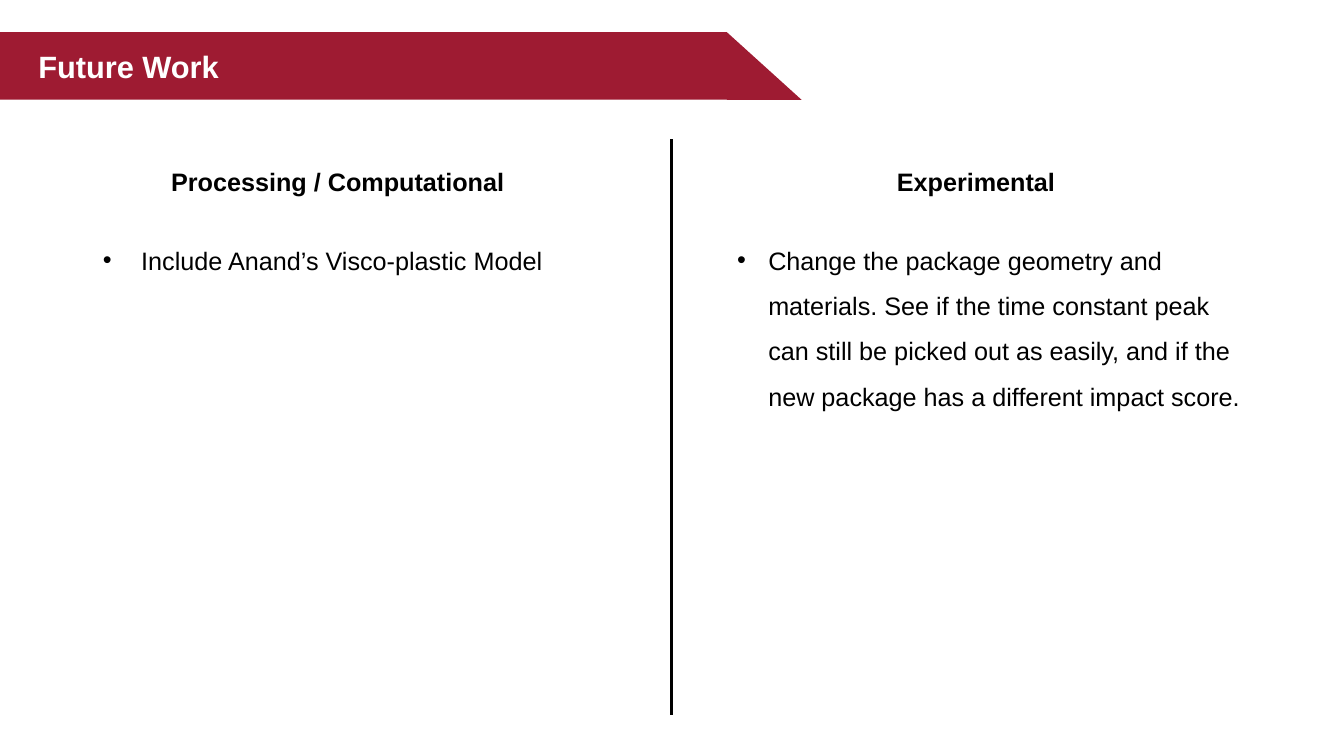
from lxml import etree
from pptx import Presentation
from pptx.dml.color import RGBColor
from pptx.enum.shapes import MSO_CONNECTOR, MSO_SHAPE
from pptx.enum.text import MSO_ANCHOR, MSO_AUTO_SIZE, PP_ALIGN
from pptx.oxml.ns import qn
from pptx.util import Inches, Pt

RECTANGLE = MSO_SHAPE.RECTANGLE
RIGHT_TRIANGLE = MSO_SHAPE.RIGHT_TRIANGLE
STRAIGHT = MSO_CONNECTOR.STRAIGHT
TOP = MSO_ANCHOR.TOP
NO_AUTOFIT = MSO_AUTO_SIZE.NONE
LEFT = PP_ALIGN.LEFT
CENTER = PP_ALIGN.CENTER

COMPARISON_LAYOUT = 4
FONT = "Arial"
CRIMSON = "9E1B32"
WHITE = "FFFFFF"
BLACK = "000000"
BANNER_TOP, BANNER_HEIGHT = 0.32, 0.67
BANNER_WIDTH, TIP_WIDTH = 7.21, 0.74
HEADING_TOP, HEADING_WIDTH, HEADING_HEIGHT = 1.6, 4.46, 0.4
LIST_TOP = 2.23

COLUMNS = [
    {
        "heading": "Processing / Computational",
        "heading_left": 1.12,
        "item": "Include Anand’s Visco-plastic Model",
        "list_box": (0.92, LIST_TOP, 5.36, 0.5),
        "indent": 0.38,
    },
    {
        "heading": "Experimental",
        "heading_left": 7.45,
        "item": "Change the package geometry and materials. See if the time "
                "constant peak can still be picked out as easily, and if the "
                "new package has a different impact score.",
        "list_box": (7.21, LIST_TOP, 5.2, 1.86),
        "indent": 0.31,
    },
]


def color(hex_value):
    """Turn a hex string into a colour."""
    return RGBColor.from_string(hex_value)


def add_banner_part(slide, kind, left, width):
    """Add a crimson banner shape behind the title."""
    shape = slide.shapes.add_shape(
        kind, Inches(left), Inches(BANNER_TOP), Inches(width), Inches(BANNER_HEIGHT))
    shape.shadow.inherit = False
    shape.fill.solid()
    shape.fill.fore_color.rgb = color(CRIMSON)
    shape.line.fill.background()
    slide.shapes.title.element.addprevious(shape.element)


def add_divider(slide, x, top, bottom):
    """Draw the vertical line between the columns."""
    line = slide.shapes.add_connector(
        STRAIGHT, Inches(x), Inches(top), Inches(x), Inches(bottom))
    line.line.color.rgb = color(BLACK)
    line.line.width = Pt(1.5)
    etree.SubElement(line.element.spPr, qn("a:effectLst"))


def fill_placeholder(placeholder, box, text, size, hex_value, bold, alignment):
    """Place a placeholder, set its text and return its paragraph."""
    left, top, width, height = map(Inches, box)
    placeholder.left, placeholder.top = left, top
    placeholder.width, placeholder.height = width, height
    frame = placeholder.text_frame
    frame.text = text
    frame.word_wrap = True
    frame.auto_size = NO_AUTOFIT
    frame.vertical_anchor = TOP
    paragraph = frame.paragraphs[0]
    paragraph.alignment = alignment
    paragraph.space_before = Pt(0)
    font = paragraph.runs[0].font
    font.name = FONT
    font.size = Pt(size)
    font.bold = bold
    font.color.rgb = color(hex_value)
    return paragraph


def add_bullet(paragraph, indent):
    """Give a paragraph a bullet with a hanging indent."""
    properties = paragraph._p.get_or_add_pPr()
    properties.set("marL", str(Inches(indent)))
    properties.set("indent", str(-Inches(indent)))
    etree.SubElement(properties, qn("a:buFont"), typeface=FONT)
    etree.SubElement(properties, qn("a:buChar"), char="•")


def fill_column(heading, body, column):
    """Fill the heading and the list of one column."""
    heading_box = (column["heading_left"], HEADING_TOP, HEADING_WIDTH, HEADING_HEIGHT)
    fill_placeholder(heading, heading_box, column["heading"], 18, BLACK, True, CENTER)
    paragraph = fill_placeholder(
        body, column["list_box"], column["item"], 18, BLACK, False, LEFT)
    add_bullet(paragraph, column["indent"])
    paragraph.line_spacing = 1.5


def main():
    """Build and save the slide."""
    presentation = Presentation()
    presentation.slide_width = Inches(13.33)
    presentation.slide_height = Inches(7.5)
    slide = presentation.slides.add_slide(presentation.slide_layouts[COMPARISON_LAYOUT])
    add_banner_part(slide, RECTANGLE, 0, BANNER_WIDTH)
    add_banner_part(slide, RIGHT_TRIANGLE, BANNER_WIDTH, TIP_WIDTH)
    fill_placeholder(slide.shapes.title, (0.28, 0.42, 7.66, 0.47),
                     "Future Work", 22, WHITE, True, LEFT)
    add_divider(slide, 6.66, 1.38, 7.09)
    placeholders = slide.placeholders
    for index, column in enumerate(COLUMNS):
        fill_column(placeholders[2 * index + 1], placeholders[2 * index + 2], column)
    presentation.save("out.pptx")


if __name__ == "__main__":
    main()
